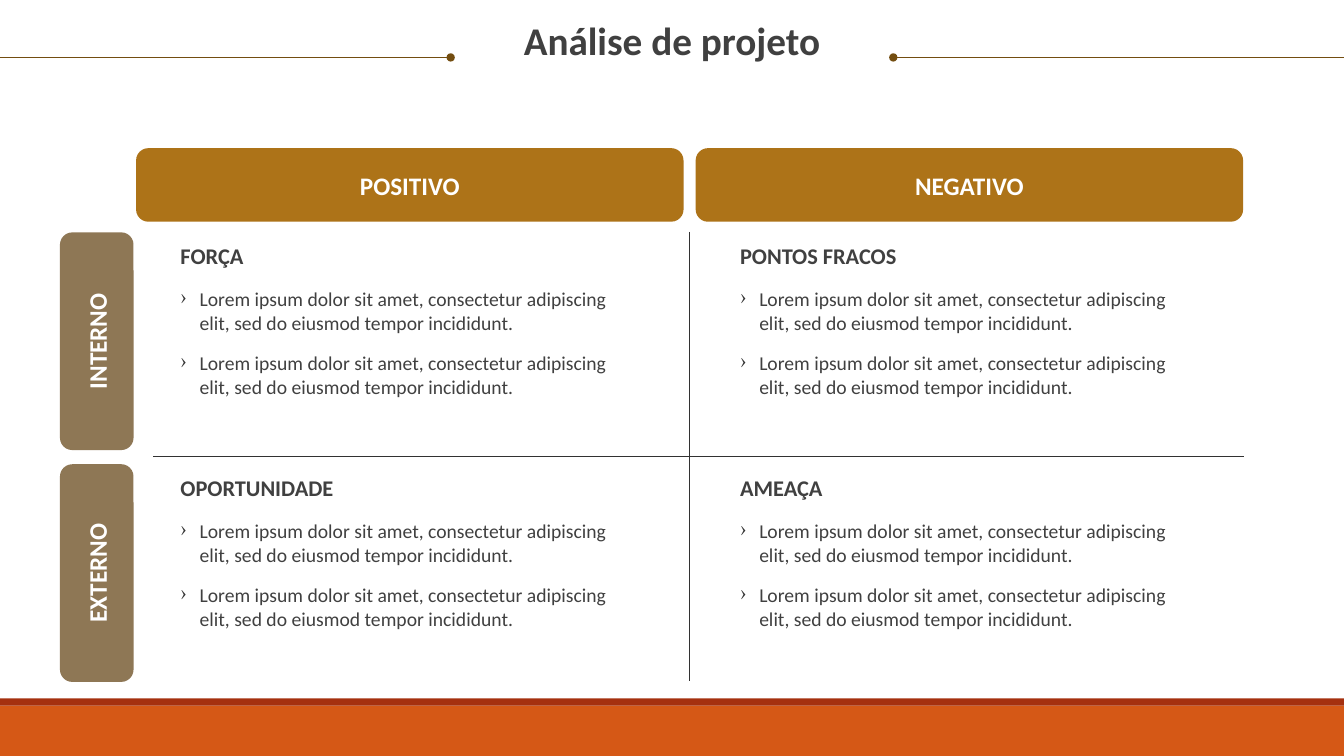
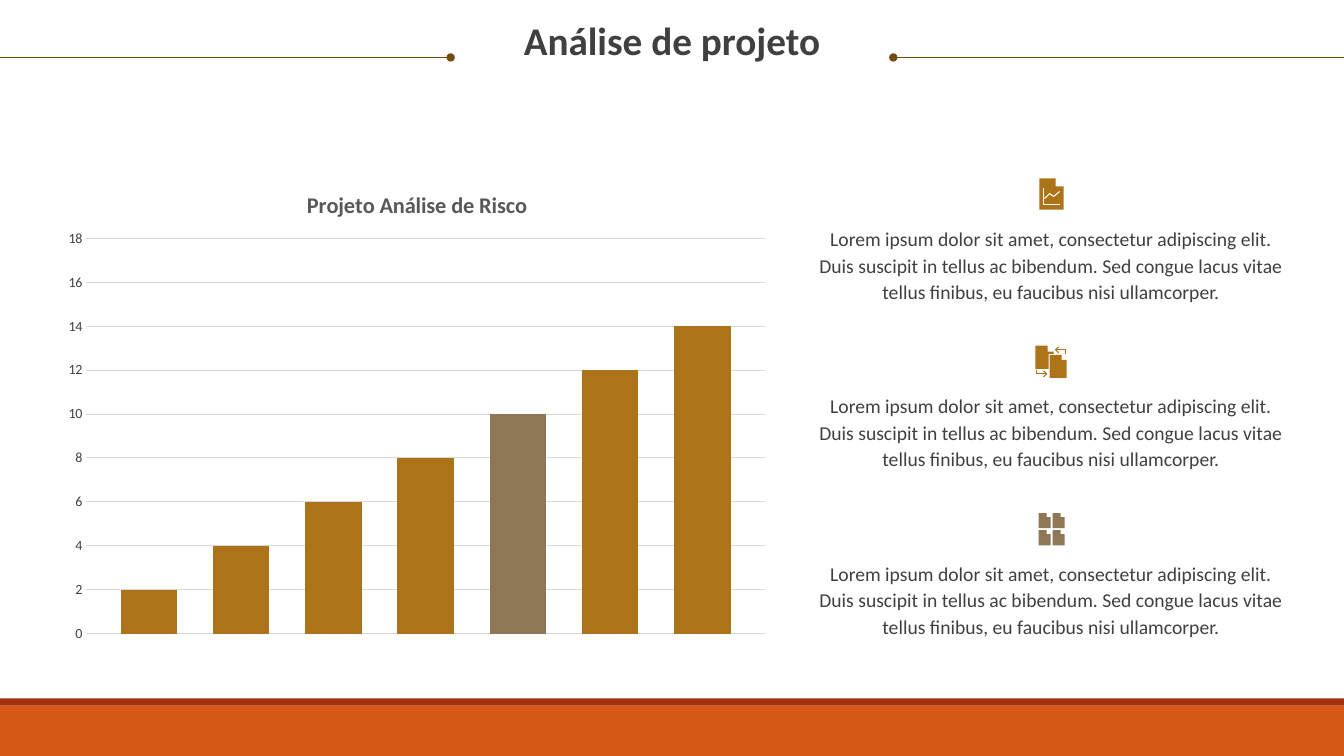
from dataclasses import dataclass

from lxml import etree
from pptx import Presentation
from pptx.chart.chart import Chart
from pptx.chart.data import CategoryChartData
from pptx.dml.color import RGBColor
from pptx.enum import chart as charts, shapes, text
from pptx.oxml import ns, parse_xml
from pptx.shapes.autoshape import Shape
from pptx.slide import Slide
from pptx.text.text import TextFrame
from pptx.util import Inches, Pt

FONT = "Calibri"
WHITE = RGBColor(0xFF, 0xFF, 0xFF)
INK = RGBColor(0x40, 0x40, 0x40)
GRAPHITE = RGBColor(0x32, 0x32, 0x32)
CHART_TITLE = RGBColor(0x59, 0x59, 0x59)
GRID = RGBColor(0xD9, 0xD9, 0xD9)
ORANGE = RGBColor(0xD5, 0x58, 0x16)
RUST = RGBColor(0xA5, 0x30, 0x0F)
BROWN = RGBColor(0x73, 0x4D, 0x10)
GOLD = RGBColor(0xAD, 0x73, 0x18)
TAUPE = RGBColor(0x8E, 0x77, 0x55)

SLIDE_WIDTH, SLIDE_HEIGHT = 13.33, 7.5
TITLE = "Análise de projeto"
BULLET = ("Lorem ipsum dolor sit amet, consectetur adipiscing elit, "
          "sed do eiusmod tempor incididunt.")
NOTE = ("Lorem ipsum dolor sit amet, consectetur adipiscing elit. "
        "Duis suscipit in tellus ac bibendum. Sed congue lacus vitae "
        "tellus finibus, eu faucibus nisi ullamcorper.")

Point = tuple[float, float]


@dataclass(frozen=True)
class Box:
    left: float
    top: float
    width: float
    height: float

    def lengths(self) -> tuple[int, ...]:
        return tuple(Inches(v) for v in
                     (self.left, self.top, self.width, self.height))


@dataclass(frozen=True)
class Label:
    caption: str
    box: Box
    color: RGBColor
    rotation: int = 0


@dataclass(frozen=True)
class Quadrant:
    heading: str
    column: int
    row: int


LABELS = [
    Label("POSITIVO", Box(1.35, 1.47, 5.43, 0.73), GOLD),
    Label("NEGATIVO", Box(6.9, 1.47, 5.43, 0.73), GOLD),
    Label("INTERNO", Box(-0.12, 3.02, 2.16, 0.73), TAUPE, 270),
    Label("EXTERNO", Box(-0.12, 5.32, 2.16, 0.73), TAUPE, 270),
]
QUADRANTS = [
    Quadrant("FORÇA", 0, 0),
    Quadrant("PONTOS FRACOS", 1, 0),
    Quadrant("OPORTUNIDADE", 0, 1),
    Quadrant("AMEAÇA", 1, 1),
]
RISKS = [2, 4, 6, 8, 10, 12, 14]
HIGHLIGHT = 10
NOTE_TOP, NOTE_PITCH = 2.22, 1.66


def add_block(slide: Slide, kind: shapes.MSO_SHAPE, box: Box,
              color: RGBColor) -> Shape:
    block = slide.shapes.add_shape(kind, *box.lengths())
    block.shadow.inherit = False
    block.fill.solid()
    block.fill.fore_color.rgb = color
    block.line.fill.background()
    return block


def add_line(slide: Slide, start: Point, end: Point, color: RGBColor,
             dot: str = "") -> None:
    """Draw a line; dot is "headEnd" or "tailEnd" for a round end."""
    line = slide.shapes.add_connector(
        shapes.MSO_CONNECTOR.STRAIGHT, *(Inches(v) for v in start + end))
    line.line.color.rgb = color
    line.line.width = Pt(1)
    if dot:
        etree.SubElement(line.line._get_or_add_ln(), ns.qn(f"a:{dot}"),
                         type="oval")
    etree.SubElement(line._element.spPr, ns.qn("a:effectLst"))


def clear_margins(frame: TextFrame) -> None:
    frame.margin_left = frame.margin_right = 0
    frame.margin_top = frame.margin_bottom = 0
    frame.word_wrap = True
    frame.auto_size = text.MSO_AUTO_SIZE.NONE
    frame.vertical_anchor = text.MSO_ANCHOR.TOP


def style(font, size: float, color: RGBColor, bold: bool = False) -> None:
    font.name, font.size, font.bold = FONT, Pt(size), bold
    font.color.rgb = color


def add_text(slide: Slide, box: Box) -> TextFrame:
    frame = slide.shapes.add_textbox(*box.lengths()).text_frame
    clear_margins(frame)
    return frame


def add_bullets(frame: TextFrame, lines: list[str]) -> None:
    frame.text = "\n".join(lines)
    for para in frame.paragraphs:
        para.space_before = Pt(12)
        props = para._p.get_or_add_pPr()
        props.set("marL", str(Inches(0.19)))
        props.set("indent", str(-Inches(0.19)))
        bullet_color = etree.SubElement(props, ns.qn("a:buClr"))
        etree.SubElement(bullet_color, ns.qn("a:srgbClr"), val=str(GRAPHITE))
        etree.SubElement(props, ns.qn("a:buChar"), char="›")
        style(para.font, 14, INK)


def add_outline(slide: Slide, origin: Point, points: list[Point],
                color: RGBColor, stroke: float = 0) -> None:
    """Draw a filled outline, or an open stroke of the given points width."""
    corners = [(Inches(origin[0] + x), Inches(origin[1] + y))
               for x, y in points]
    builder = slide.shapes.build_freeform(*corners[0])
    builder.add_line_segments(corners[1:], close=not stroke)
    outline = builder.convert_to_shape()
    outline.shadow.inherit = False
    if stroke:
        outline.fill.background()
        outline.line.color.rgb = color
        outline.line.width = Pt(stroke)
    else:
        outline.fill.solid()
        outline.fill.fore_color.rgb = color
        outline.line.fill.background()


def add_page_icon(slide: Slide, box: Box, fold: float,
                  color: RGBColor) -> None:
    """Draw a sheet whose top right corner is folded away."""
    w, h = box.width, box.height
    add_outline(slide, (box.left, box.top),
                [(0, 0), (w - fold, 0), (w - fold, fold), (w, fold),
                 (w, h), (0, h)], color)


def add_report_icon(slide: Slide, top: float) -> None:
    origin = (10.31, top)
    add_page_icon(slide, Box(*origin, 0.24, 0.31), 0.08, GOLD)
    axes = [(0.04, 0.1), (0.04, 0.26), (0.2, 0.26)]
    trend = [(0.05, 0.2), (0.1, 0.15), (0.14, 0.18), (0.2, 0.13)]
    for points in (axes, trend):
        add_outline(slide, origin, points, WHITE, 0.75)


def add_exchange_icon(slide: Slide, top: float) -> None:
    origin = (10.27, top)
    add_outline(slide, origin,
                [(0, 0), (0.12, 0), (0.12, 0.06), (0.18, 0.06), (0.18, 0.08),
                 (0.13, 0.08), (0.13, 0.23), (0, 0.23)], GOLD)
    add_page_icon(slide, Box(10.41, top + 0.09, 0.17, 0.23), 0.05, GOLD)
    shaft = [(0.3, 0.08), (0.3, 0.04), (0.2, 0.04)]
    barbs = [(0.23, 0.01), (0.2, 0.04), (0.23, 0.07)]
    for points in (shaft, barbs):
        turned = [(0.31 - x, 0.32 - y) for x, y in points]
        for arrow in (points, turned):
            add_outline(slide, origin, arrow, GOLD, 0.75)


def add_files_icon(slide: Slide, top: float) -> None:
    for row in range(2):
        for column in range(2):
            sheet = Box(10.3 + 0.14 * column, top + 0.17 * row, 0.12, 0.15)
            add_page_icon(slide, sheet, 0.04, TAUPE)


def set_layout(element, x: float, y: float, size: str = "") -> None:
    """Fix a chart part's place, in fractions of the chart."""
    layout = parse_xml(
        f'<c:layout {ns.nsdecls("c")}><c:manualLayout>'
        f'{"<c:layoutTarget val=%sinner%s/>" % (chr(34), chr(34)) if size else ""}'
        '<c:xMode val="edge"/><c:yMode val="edge"/>'
        f'<c:x val="{x}"/><c:y val="{y}"/>{size}'
        '</c:manualLayout></c:layout>')
    for old in element.findall(ns.qn("c:layout")):
        element.remove(old)
    element.insert(1 if element.tag == ns.qn("c:title") else 0, layout)


def style_chart(chart: Chart) -> None:
    style(chart.font, 10, INK)
    chart.has_legend = False
    chart.has_title = True
    title = chart.chart_title
    title.text_frame.text = "Projeto Análise de Risco"
    style(title.text_frame.paragraphs[0].font, 16, CHART_TITLE, True)
    set_layout(title._element, 0.34, 0.04)
    set_layout(chart._chartSpace.chart.plotArea, 0.04, 0.15,
               '<c:w val="0.94"/><c:h val="0.82"/>')

    chart.category_axis.visible = False
    axis = chart.value_axis
    axis.minimum_scale, axis.maximum_scale, axis.major_unit = 0, 18, 2
    axis.major_tick_mark = charts.XL_TICK_MARK.NONE
    axis.format.line.fill.background()
    axis.major_gridlines.format.line.color.rgb = GRID
    axis.major_gridlines.format.line.width = Pt(0.75)

    plot = chart.plots[0]
    plot.vary_by_categories = False
    plot.gap_width, plot.overlap = 121, -63
    for series, value in zip(plot.series, RISKS):
        series.format.fill.solid()
        series.format.fill.fore_color.rgb = (
            TAUPE if value == HIGHLIGHT else GOLD)


def add_titled_slide(deck) -> Slide:
    """Add a slide with the shared title, its side lines and the footer."""
    slide = deck.slides.add_slide(deck.slide_layouts[5])
    title = slide.shapes.title
    title.left, title.top, title.width, title.height = Box(
        0.25, 0.21, 12.83, 0.73).lengths()
    title.text_frame.text = TITLE
    clear_margins(title.text_frame)
    para = title.text_frame.paragraphs[0]
    para.alignment = text.PP_ALIGN.CENTER
    para.line_spacing = 0.9
    style(para.font, 28, INK, True)

    rectangle = shapes.MSO_SHAPE.RECTANGLE
    add_block(slide, rectangle, Box(0, 7, SLIDE_WIDTH, 0.5), ORANGE)
    add_block(slide, rectangle, Box(0, 6.93, SLIDE_WIDTH, 0.07), RUST)
    add_line(slide, (0, 0.57), (4.47, 0.57), BROWN, "tailEnd")
    add_line(slide, (8.86, 0.57), (SLIDE_WIDTH, 0.57), BROWN, "headEnd")
    return slide


def build_matrix_slide(deck) -> None:
    slide = add_titled_slide(deck)
    for label in LABELS:
        block = add_block(slide, shapes.MSO_SHAPE.ROUNDED_RECTANGLE,
                          label.box, label.color)
        block.rotation = label.rotation
        frame = block.text_frame
        frame.text = label.caption
        frame.vertical_anchor = text.MSO_ANCHOR.MIDDLE
        frame.paragraphs[0].alignment = text.PP_ALIGN.CENTER
        style(frame.paragraphs[0].font, 18, WHITE, True)
    add_line(slide, (1.52, 4.53), (12.34, 4.53), GRAPHITE)
    add_line(slide, (6.84, 2.3), (6.84, 6.76), GRAPHITE)
    for quadrant in QUADRANTS:
        left, top = 1.79 + 5.55 * quadrant.column, 2.4 + 2.3 * quadrant.row
        heading = add_text(slide, Box(left, top, 4.55, 0.27))
        heading.text = quadrant.heading
        style(heading.paragraphs[0].font, 16, INK, True)
        add_bullets(add_text(slide, Box(left, top + 0.45, 4.55, 1.11)),
                    [BULLET] * 2)


def build_risk_slide(deck) -> None:
    slide = add_titled_slide(deck)
    data = CategoryChartData()
    data.categories = ["1"]
    for number, value in enumerate(RISKS, start=1):
        data.add_series(f"Series {number}", [value])
    frame = slide.shapes.add_chart(
        charts.XL_CHART_TYPE.COLUMN_CLUSTERED,
        *Box(0.57, 1.65, 7.16, 4.78).lengths(), data)
    style_chart(frame.chart)

    icons = (add_report_icon, add_exchange_icon, add_files_icon)
    for index, add_icon in enumerate(icons):
        top = NOTE_TOP + NOTE_PITCH * index
        add_icon(slide, top - 0.45)
        note = add_text(slide, Box(8.09, top, 4.67, 0.78))
        note.text = NOTE
        para = note.paragraphs[0]
        para.alignment = text.PP_ALIGN.CENTER
        para.line_spacing = Pt(19)
        style(para.font, 14, INK)


def main() -> None:
    deck = Presentation()
    deck.slide_width = Inches(SLIDE_WIDTH)
    deck.slide_height = Inches(SLIDE_HEIGHT)
    build_matrix_slide(deck)
    build_risk_slide(deck)
    deck.save("out.pptx")


if __name__ == "__main__":
    main()
